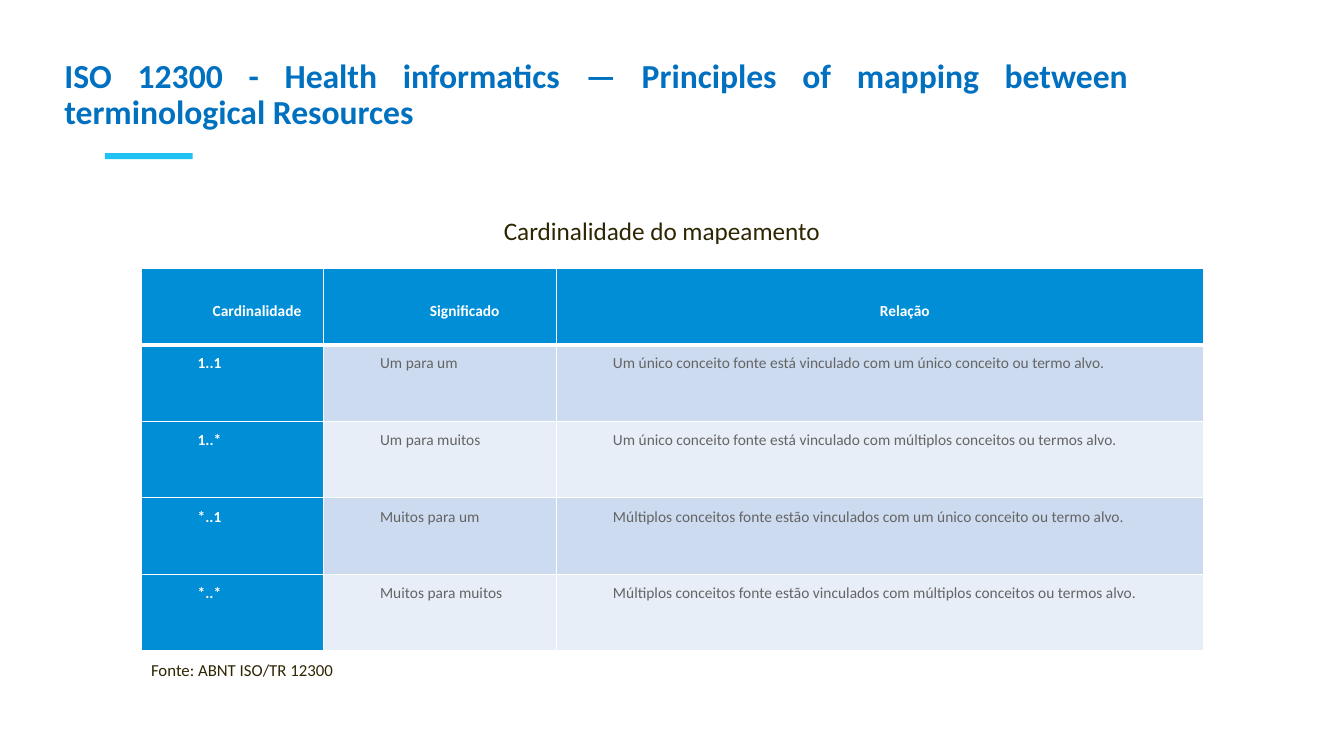
from lxml import etree
from pptx import Presentation
from pptx import util as u
from pptx.dml.color import RGBColor
from pptx.enum import shapes, text
from pptx.oxml import ns

EMU_PER_PX = 9144  # 100 px to the inch
FONT = "Calibri"
COLORS = {
    "title": "0070C0", "accent": "1FC2F2", "ink": "2E2502", "white": "FFFFFF",
    "head": "008FD7", "body": "646464", "odd": "CCDBF0", "even": "E7EEF8",
}
ALIGN, ANCHOR = text.PP_ALIGN, text.MSO_ANCHOR

PAGE_SIZE = (1333, 750)
ACCENT_BAR = (104, 152, 87, 6)
TITLE = ("ISO 12300 - Health informatics — Principles of mapping between "
         "terminological Resources")
SUBTITLE = "Cardinalidade do mapeamento"
SOURCE = "Fonte: ABNT ISO/TR 12300"

TABLE_ORIGIN = (140, 266)
COLUMN_WIDTHS = (181, 231, 642)
ROW_HEIGHT = 76
CELL_INSET, FIRST_LINE_INDENT = 7, 49
ROWS = [
    ("Cardinalidade", "Significado", "Relação"),
    ("1..1", "Um para um",
     "Um único conceito fonte está vinculado com um único conceito ou termo alvo."),
    ("1..*", "Um para muitos",
     "Um único conceito fonte está vinculado com múltiplos conceitos ou termos alvo."),
    ("*..1", "Muitos para um",
     "Múltiplos conceitos fonte estão vinculados com um único conceito ou termo alvo."),
    ("*..*", "Muitos para muitos",
     "Múltiplos conceitos fonte estão vinculados com múltiplos conceitos ou termos alvo."),
]


def px(length):
    return u.Emu(length * EMU_PER_PX)


def color(name):
    return RGBColor.from_string(COLORS[name])


def style(para, size, ink, align, bold=False, spacing=1.0):
    para.alignment = align
    para.line_spacing = spacing
    font = para.font
    font.name, font.size, font.bold = FONT, u.Pt(size), bold
    font.color.rgb = color(ink)


def add_text(page, area, words, size, ink, align, wrap=True,
             anchor=ANCHOR.TOP, **look):
    frame = page.shapes.add_textbox(*map(px, area)).text_frame
    frame.word_wrap = wrap
    frame.vertical_anchor = anchor
    frame.text = words
    style(frame.paragraphs[0], size, ink, align, **look)


def add_borders(cell, widths):
    """Draw white cell edges; widths maps L, R, T, B (in that order) to points."""
    props = cell._tc.get_or_add_tcPr()
    for side, width in widths.items():
        line = etree.SubElement(props, ns.qn(f"a:ln{side}"), w=str(u.Pt(width)))
        fill = etree.SubElement(line, ns.qn("a:solidFill"))
        etree.SubElement(fill, ns.qn("a:srgbClr"), val=COLORS["white"])


def fill_cell(cell, words, row, column):
    is_head = row == 0
    is_label = is_head or column == 0
    add_borders(cell, {"L": 1, "R": 1, "T": 3 if row == 1 else 1,
                       "B": 3 if is_head else 1})
    cell.fill.solid()
    cell.fill.fore_color.rgb = color(
        "head" if is_label else "odd" if row % 2 else "even")
    cell.margin_left = cell.margin_right = px(CELL_INSET)
    cell.margin_top = cell.margin_bottom = 0
    cell.vertical_anchor = ANCHOR.MIDDLE if is_head else ANCHOR.TOP
    cell.text = words
    para = cell.text_frame.paragraphs[0]
    para._p.get_or_add_pPr().set("indent", str(px(FIRST_LINE_INDENT)))
    style(para, 11, "white" if is_label else "body",
          ALIGN.CENTER if is_head else ALIGN.JUSTIFY, bold=is_label, spacing=1.5)


def add_cardinality_table(page):
    size = (sum(COLUMN_WIDTHS), ROW_HEIGHT * len(ROWS))
    table = page.shapes.add_table(len(ROWS), len(COLUMN_WIDTHS),
                                  *map(px, TABLE_ORIGIN + size)).table
    table.horz_banding = False
    for column, width in zip(table.columns, COLUMN_WIDTHS):
        column.width = px(width)
    for r, row in enumerate(ROWS):
        for c, words in enumerate(row):
            fill_cell(table.cell(r, c), words, r, c)


def main():
    deck = Presentation()
    deck.slide_width, deck.slide_height = map(px, PAGE_SIZE)
    page = deck.slides.add_slide(deck.slide_layouts[6])

    bar = page.shapes.add_shape(shapes.MSO_SHAPE.RECTANGLE, *map(px, ACCENT_BAR))
    bar.shadow.inherit = False
    bar.fill.solid()
    bar.fill.fore_color.rgb = color("accent")
    bar.line.fill.background()

    add_text(page, (54, 22, 1075, 145), TITLE, 24, "title", ALIGN.JUSTIFY,
             anchor=ANCHOR.MIDDLE, bold=True, spacing=0.9)
    add_text(page, (175, 209, 963, 40), SUBTITLE, 18, "ink", ALIGN.CENTER)
    add_cardinality_table(page)
    add_text(page, (140, 650, 203, 30), SOURCE, 12, "ink", ALIGN.LEFT, wrap=False)
    deck.save("out.pptx")


if __name__ == "__main__":
    main()
